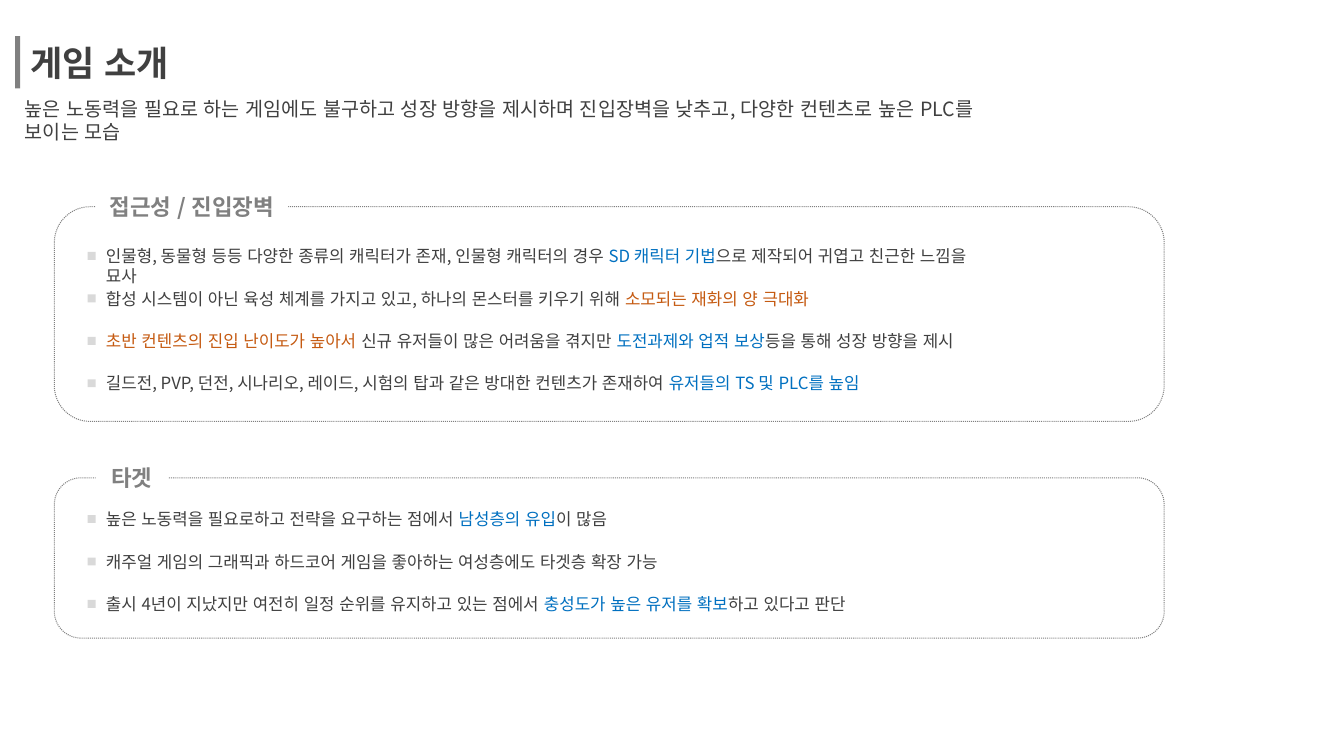
from lxml import etree
from pptx import Presentation, util as u
from pptx.dml.color import RGBColor
from pptx.enum import dml, lang, shapes, text
from pptx.oxml import ns

Cm, Pt = u.Cm, u.Pt
FONT = "Noto Sans CJK KR"
COLORS = {
    "ink": "404040",
    "gray": "808080",
    "marker": "D9D9D9",
    "good": "0070C0",
    "bad": "C55A11",
    "white": "FFFFFF",
}

# Each panel: top, height, label, label width, first row top, rows.
# Each row: text width, then (text, colour) spans.
PANELS = [
    (5.21, 5.41, "접근성 / 진입장벽", 4.85, 6.07, [
        (22.3, [("인물형, 동물형 등등 다양한 종류의 캐릭터가 존재, 인물형 캐릭터의 경우 ", "ink"),
                ("SD 캐릭터 기법", "good"),
                ("으로 제작되어 귀엽고 친근한 느낌을 묘사", "ink")]),
        (25.6, [("합성 시스템이 아닌 육성 체계를 가지고 있고, 하나의 몬스터를 키우기 위해 ", "ink"),
                ("소모되는 재화의 양 극대화", "bad")]),
        (25.96, [("초반 컨텐츠의 진입 난이도가 높아서 ", "bad"),
                 ("신규 유저들이 많은 어려움을 겪지만 ", "ink"),
                 ("도전과제와 업적 보상", "good"),
                 ("등을 통해 성장 방향을 제시", "ink")]),
        (27.18, [("길드전, PVP, 던전, 시나리오, 레이드, 시험의 탑과 같은 방대한 컨텐츠가 존재하여 ", "ink"),
                 ("유저들의 TS 및 PLC를 높임", "good")]),
    ]),
    (12.04, 4.04, "타겟", 1.83, 12.7, [
        (16.13, [("높은 노동력을 필요로하고 전략을 요구하는 점에서 ", "ink"),
                 ("남성층의 유입", "good"),
                 ("이 많음", "ink")]),
        (19.79, [("캐주얼 게임의 그래픽과 하드코어 게임을 좋아하는 여성층에도 타겟층 확장 가능", "ink")]),
        (23.34, [("출시 4년이 지났지만 여전히 일정 순위를 유지하고 있는 점에서 ", "ink"),
                 ("충성도가 높은 유저를 확보", "good"),
                 ("하고 있다고 판단", "ink")]),
    ]),
]
ROW_PITCH = 1.07
MARKER = 0.2

deck = Presentation()
deck.slide_width, deck.slide_height = Cm(33.87), Cm(19.05)
page = deck.slides.add_slide(deck.slide_layouts[6])


def add_block(left, top, width, height, fill=None, kind=shapes.MSO_SHAPE.RECTANGLE):
    """Add a flat shape: filled without a line, or unfilled with a dotted line."""
    block = page.shapes.add_shape(kind, Cm(left), Cm(top), Cm(width), Cm(height))
    block.shadow.inherit = False
    if fill:
        block.fill.solid()
        block.fill.fore_color.rgb = RGBColor.from_string(COLORS[fill])
        block.line.fill.background()
    else:
        block.fill.background()
        block.line.color.rgb = RGBColor.from_string(COLORS["gray"])
        block.line.width = Pt(0.75)
        block.line.dash_style = dml.MSO_LINE.ROUND_DOT
    return block


def write(box, spans, size, bold=False, anchor=text.MSO_ANCHOR.TOP):
    """Fill a shape's only paragraph with coloured spans."""
    frame = box.text_frame
    frame.word_wrap = True
    frame.vertical_anchor = anchor
    para = frame.paragraphs[0]
    for words, color in spans:
        span = para.add_run()
        span.text = words
        span.font.name = FONT
        span.font.size = Pt(size)
        span.font.bold = bold
        span.font.language_id = lang.MSO_LANGUAGE_ID.KOREAN
        span.font.color.rgb = RGBColor.from_string(COLORS[color])
        # Pair kerning off; East Asian glyphs take their typeface from a:ea
        span.font._element.set("kern", "0")
        etree.SubElement(span.font._element, ns.qn("a:ea"), typeface=FONT)
    return para


title = page.shapes.add_textbox(Cm(0.51), Cm(0.91), Cm(12.24), Cm(1.32))
write(title, [("게임 소개", "ink")], 25, True, text.MSO_ANCHOR.MIDDLE)
add_block(0.38, 0.91, 0.13, 1.32, "gray")

summary = page.shapes.add_textbox(Cm(0.38), Cm(2.31), Cm(25.76), Cm(0.86))
write(summary, [("높은 노동력을 필요로 하는 게임에도 불구하고 성장 방향을 제시하며 "
                 "진입장벽을 낮추고, 다양한 컨텐츠로 높은 PLC를 보이는 모습", "ink")], 14)

for top, height, label, label_width, first_row, rows in PANELS:
    add_block(1.37, top, 27.97, height, kind=shapes.MSO_SHAPE.ROUNDED_RECTANGLE)
    tag = add_block(2.41, top - 0.47, label_width, 0.94, "white")
    para = write(tag, [(label, "gray")], 16, True, text.MSO_ANCHOR.MIDDLE)
    para.alignment = text.PP_ALIGN.CENTER
    tag.text_frame.word_wrap = False
    tag.text_frame.margin_left = tag.text_frame.margin_right = 0

    for index, (width, spans) in enumerate(rows):
        row_top = first_row + index * ROW_PITCH
        add_block(2.21, row_top + 0.28, MARKER, MARKER, "marker")
        row = page.shapes.add_textbox(Cm(2.42), Cm(row_top), Cm(width), Cm(0.76))
        write(row, spans, 12)

deck.save("out.pptx")
